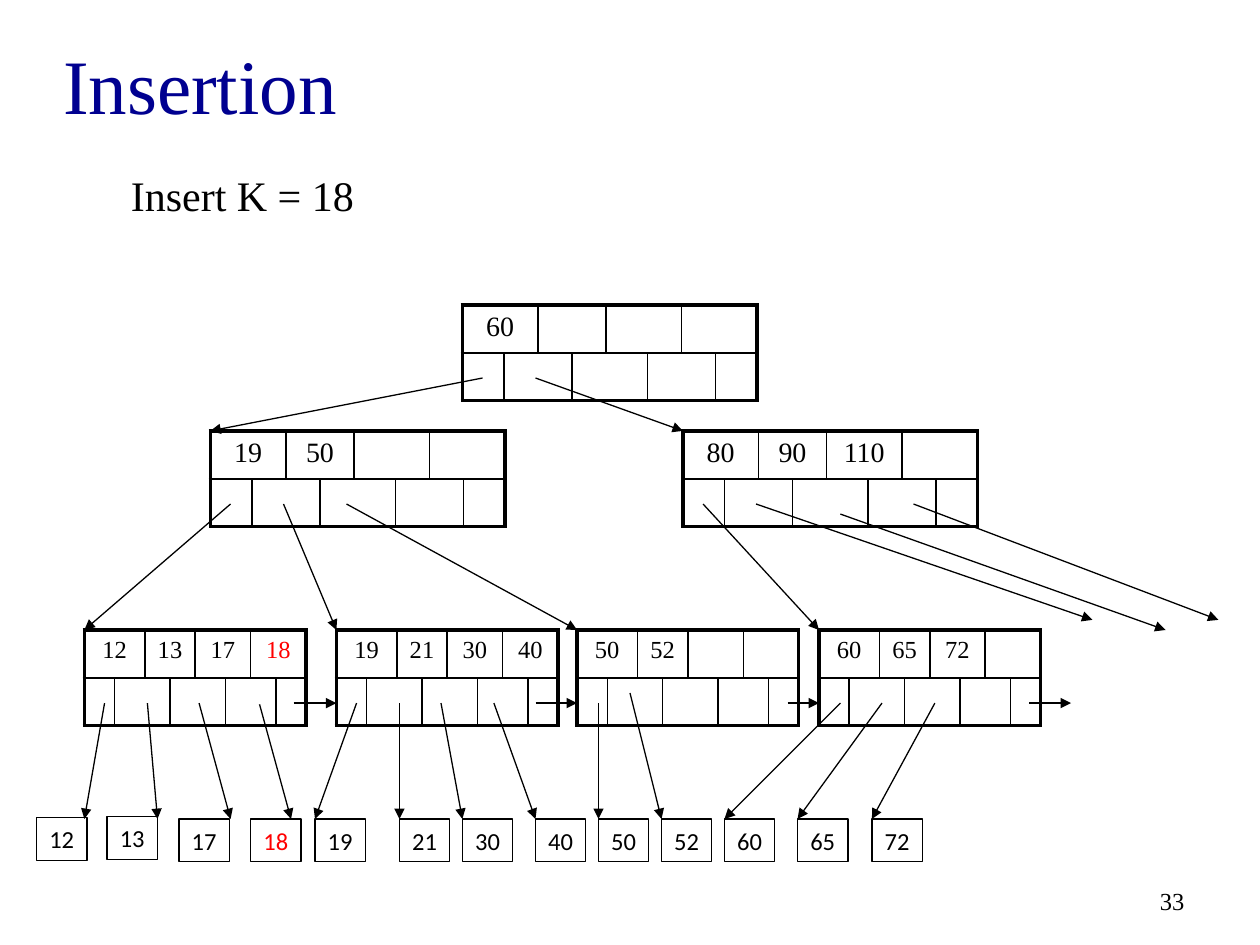
from lxml import etree
from pptx import Presentation
from pptx.dml.color import RGBColor
from pptx.enum.shapes import MSO_CONNECTOR, MSO_SHAPE
from pptx.enum.text import MSO_ANCHOR, MSO_AUTO_SIZE, PP_ALIGN
from pptx.oxml.ns import qn
from pptx.util import Pt

LEFT, CENTER, RIGHT = PP_ALIGN.LEFT, PP_ALIGN.CENTER, PP_ALIGN.RIGHT
MIDDLE, TOP = MSO_ANCHOR.MIDDLE, MSO_ANCHOR.TOP
FIT_SHAPE, NO_FIT = MSO_AUTO_SIZE.SHAPE_TO_FIT_TEXT, MSO_AUTO_SIZE.NONE
STRAIGHT, RECTANGLE = MSO_CONNECTOR.STRAIGHT, MSO_SHAPE.RECTANGLE

BLACK = RGBColor(0x00, 0x00, 0x00)
NAVY = RGBColor(0x00, 0x00, 0x90)
RED = RGBColor(0xFF, 0x00, 0x00)
SERIF, SANS = "Times New Roman", "Calibri"
PX = 9144  # 100 px to the inch
TITLE_ONLY = 5

NEW_KEY = "18"
ROW_HEIGHT = 38
POINTER_Y, LEAF_POINTER_Y = 400, 558
LEAF_TOP, RECORD_TOP = 500, 650
INNER_COLUMNS = (33, 27, 27, 27, 33, 27, 27, 33)
LEAF_COLUMNS = (24, 20, 20, 20, 24, 20, 20, 24)
KEY_SPANS = ((0, 1), (2, 3), (4, 5), (6, 7))
POINTER_SPANS = ((1, 2), (3, 4), (5, 6))

INNER_NODES = [
    (367, 242, ["60"]),
    (167, 342, ["19", "50"]),
    (542, 342, ["80", "90", "110"]),
]
LEAVES = [
    (67, ["12", "13", "17", NEW_KEY]),
    (267, ["19", "21", "30", "40"]),
    (458, ["50", "52"]),
    (650, ["60", "65", "72"]),
]
# start x, start y, end x, end y
TREE_ARROWS = [
    (383, 300, 167, 342),
    (425, 300, 542, 342),
    (183, POINTER_Y, 67, LEAF_TOP),
    (225, POINTER_Y, 267, LEAF_TOP),
    (275, POINTER_Y, 458, LEAF_TOP),
    (558, POINTER_Y, 650, LEAF_TOP),
    (600, POINTER_Y, 867, 492),
    (667, 408, 925, LEAF_TOP),
    (725, POINTER_Y, 967, 492),
]
SIBLING_ARROWS = [(233, 267), (425, 458), (625, 650), (817, 850)]
# key, box left, box top, arrow start x, arrow start y, arrow end x
RECORDS = [
    ("12", 29, 649, 83, LEAF_POINTER_Y, 67),
    ("13", 85, 648, 117, LEAF_POINTER_Y, 125),
    ("17", 142, RECORD_TOP, 158, LEAF_POINTER_Y, 183),
    (NEW_KEY, 199, RECORD_TOP, 206, 559, 231),
    ("19", 250, RECORD_TOP, 283, LEAF_POINTER_Y, 250),
    ("21", 317, RECORD_TOP, 317, LEAF_POINTER_Y, 317),
    ("30", 367, RECORD_TOP, 350, LEAF_POINTER_Y, 367),
    ("40", 425, RECORD_TOP, 392, LEAF_POINTER_Y, 425),
    ("50", 475, RECORD_TOP, 475, LEAF_POINTER_Y, 475),
    ("52", 525, RECORD_TOP, 500, 550, 525),
    ("60", 575, RECORD_TOP, 667, LEAF_POINTER_Y, 575),
    ("65", 633, RECORD_TOP, 700, LEAF_POINTER_Y, 633),
    ("72", 692, RECORD_TOP, 742, LEAF_POINTER_Y, 692),
]


def px(*lengths):
    return [length * PX for length in lengths]


def write(text_frame, text, size=14, font=SERIF, color=BLACK, align=LEFT):
    paragraph = text_frame.paragraphs[0]
    paragraph.alignment = align
    run = paragraph.add_run()
    run.text = text
    run.font.size = Pt(size)
    run.font.name = font
    run.font.color.rgb = color


def key_color(key):
    return RED if key == NEW_KEY else BLACK


def set_border(cell, side, width):
    line = etree.SubElement(cell._tc.get_or_add_tcPr(), qn(f"a:ln{side}"), w=str(Pt(width)))
    fill = etree.SubElement(line, qn("a:solidFill"))
    etree.SubElement(fill, qn("a:srgbClr"), val=str(BLACK))


class TreeSlide:
    """Holds the current slide and the line widths of the tree drawn on it."""

    thin, inner, outer = 0.75, 1, 2.25

    def __init__(self, presentation):
        self.slide = presentation.slides.add_slide(presentation.slide_layouts[TITLE_ONLY])
        self.shapes = self.slide.shapes

    def title(self, text, *box):
        title = self.shapes.title
        title.left, title.top, title.width, title.height = px(*box)
        title.text_frame.vertical_anchor = MIDDLE
        write(title.text_frame, text, size=44, color=NAVY)

    def text(self, text, *box, anchor=TOP, wrap=True, **style):
        text_frame = self.shapes.add_textbox(*px(*box)).text_frame
        text_frame.word_wrap = wrap
        text_frame.auto_size = NO_FIT if wrap else FIT_SHAPE
        text_frame.vertical_anchor = anchor
        write(text_frame, text, **style)

    def node(self, left, top, width, columns, keys, size):
        """Draw a row of keys above a row of pointers, offset by half a cell."""
        frame = self.shapes.add_table(2, len(columns), *px(left, top, width, 2 * ROW_HEIGHT))
        table = frame.table
        table.first_row = table.horz_banding = False
        for column, column_width in zip(table.columns, columns):
            column.width = column_width * PX
        for row in table.rows:
            row.height = ROW_HEIGHT * PX
        for row, spans in enumerate((KEY_SPANS, POINTER_SPANS)):
            for first, last in spans:
                table.cell(row, first).merge(table.cell(row, last))
        for (first, _), key in zip(KEY_SPANS, keys):
            write(table.cell(0, first).text_frame, key, size=size,
                  color=key_color(key), align=CENTER)
        for row in range(2):
            for column in range(len(columns)):
                self.format_cell(table, row, column, size)

    def format_cell(self, table, row, column, size):
        cell = table.cell(row, column)
        last = column + (cell.span_width if cell.is_merge_origin else 1) - 1
        on_edge = {"L": column == 0, "R": last == len(table.columns) - 1,
                   "T": row == 0, "B": row == 1}
        for side, is_outer in on_edge.items():
            set_border(cell, side, self.outer if is_outer else self.inner)
        cell.fill.background()
        if not cell.text:
            # An empty cell keeps the node's text size so that its row does not grow.
            etree.SubElement(cell.text_frame.paragraphs[0]._p, qn("a:endParaRPr"),
                             sz=str(size * 100))

    def record(self, key, left, top):
        box = self.shapes.add_shape(RECTANGLE, *px(left, top, 40, 34))
        box.shadow.inherit = False
        box.fill.background()
        box.line.color.rgb = BLACK
        box.line.width = Pt(self.thin)
        text_frame = box.text_frame
        text_frame.word_wrap = False
        text_frame.auto_size = FIT_SHAPE
        text_frame.vertical_anchor = MIDDLE
        write(text_frame, key, font=SANS, color=key_color(key), align=CENTER)

    def arrow(self, *ends):
        arrow = self.shapes.add_connector(STRAIGHT, *px(*ends))
        arrow.line.color.rgb = BLACK
        arrow.line.width = Pt(self.thin)
        etree.SubElement(arrow.line._get_or_add_ln(), qn("a:tailEnd"), type="triangle")
        etree.SubElement(arrow._element.spPr, qn("a:effectLst"))


def main():
    presentation = Presentation()
    presentation.slide_width, presentation.slide_height = px(1000, 750)
    tree = TreeSlide(presentation)
    tree.title("Insertion", 40, 11, 900, 111)
    tree.text("33", 717, 695, 233, 40, anchor=MIDDLE, align=RIGHT)
    tree.text("Insert K = 18", 94, 130, 199, 50, wrap=False, size=24)
    for left, top, keys in INNER_NODES:
        tree.node(left, top, 233, INNER_COLUMNS, keys, size=16)
    for left, keys in LEAVES:
        tree.node(left, LEAF_TOP, 175, LEAF_COLUMNS, keys, size=14)
    for ends in TREE_ARROWS:
        tree.arrow(*ends)
    for start, end in SIBLING_ARROWS:
        tree.arrow(start, LEAF_POINTER_Y, end, LEAF_POINTER_Y)
    for key, left, top, start_x, start_y, end_x in RECORDS:
        tree.record(key, left, top)
        tree.arrow(start_x, start_y, end_x, RECORD_TOP)
    presentation.save("out.pptx")


if __name__ == "__main__":
    main()
